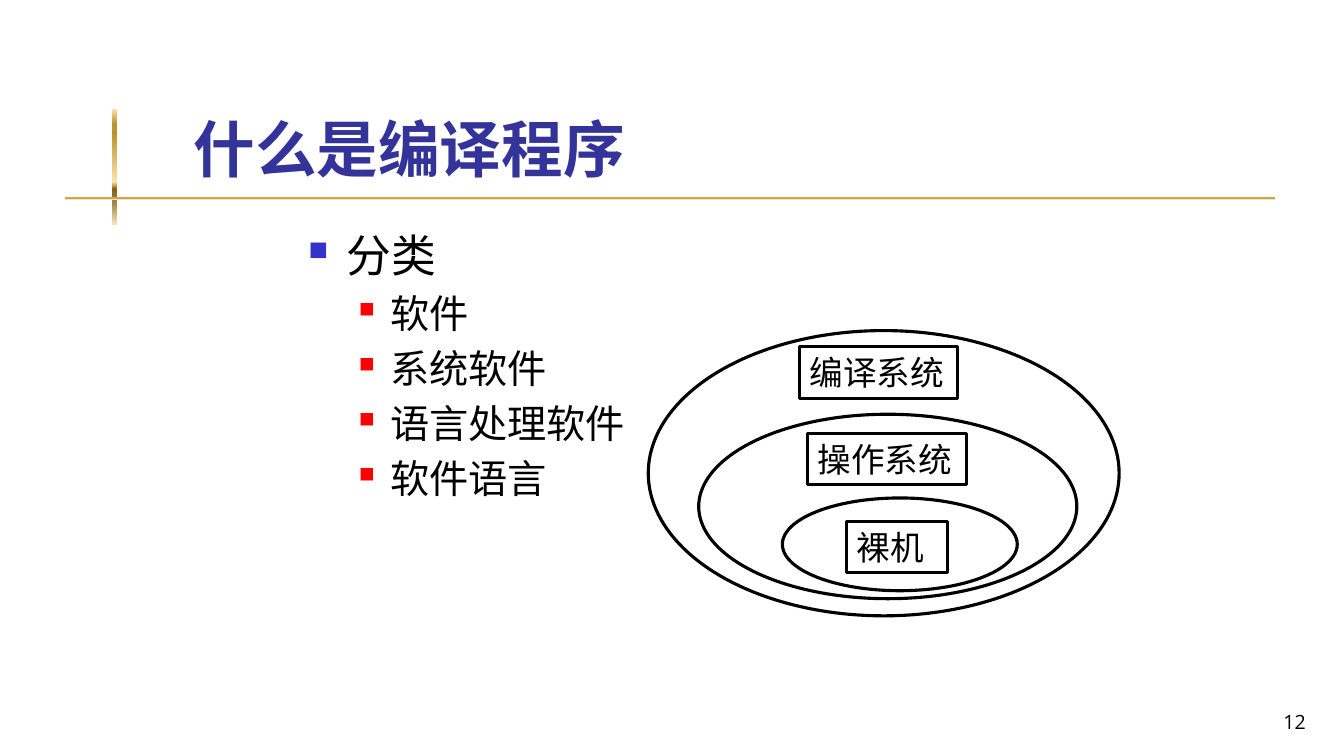
from dataclasses import dataclass

from lxml import etree
from pptx import Presentation
from pptx.dml.color import RGBColor
from pptx.enum.shapes import MSO_SHAPE
from pptx.enum.text import MSO_ANCHOR, MSO_AUTO_SIZE, PP_ALIGN
from pptx.oxml.ns import qn
from pptx.util import Inches, Pt

OVAL, RECTANGLE = MSO_SHAPE.OVAL, MSO_SHAPE.RECTANGLE
TOP, MIDDLE, BOTTOM = MSO_ANCHOR.TOP, MSO_ANCHOR.MIDDLE, MSO_ANCHOR.BOTTOM
LEFT, RIGHT = PP_ALIGN.LEFT, PP_ALIGN.RIGHT
NO_AUTOFIT = MSO_AUTO_SIZE.NONE
TITLE_ONLY = 5


@dataclass(frozen=True)
class Theme:
    cjk_font: str = "Noto Sans CJK JP"
    number_font: str = "Open Sans"
    ink: str = "000000"
    paper: str = "FFFFFF"
    title: str = "333399"
    title_size: int = 44
    label_size: int = 24
    number_size: int = 14
    outline: float = 2.25
    line_height: float = 1.2
    space_before: float = 0.2
    # Per level: size, bullet colour, bullet percent, margin, hanging indent
    levels: tuple = ((32, "3333CC", 60, 0.38, 0.38),
                     (28, "FF0000", 55, 0.81, 0.31))
    gold: tuple = ((0, "FBE4AE"), (13, "BD922A"), (21, "BD922A"), (63, "FBE4AE"),
                   (67, "BD922A"), (69, "835E17"), (82, "A28949"), (100, "FAE3B7"))


THEME = Theme()

OUTLINE = ((0, "分类"), (1, "软件"), (1, "系统软件"), (1, "语言处理软件"), (1, "软件语言"))
RINGS = ((6.43, 3.28, 4.67, 2.83), (6.93, 4.11, 3.75, 1.83), (7.76, 4.94, 2.33, 0.92))
LABELS = (("操作系统", 8.01, 4.3, 1.58), ("编译系统", 7.93, 3.44, 1.57), ("裸机", 8.4, 5.17, 1))
LABEL_HEIGHT = 0.51


def color(code):
    return RGBColor.from_string(code)


def add_span(para, text, size, code=THEME.ink, font=THEME.cjk_font, bold=False):
    span = para.add_run()
    span.text = text
    span.font.size = Pt(size)
    span.font.name = font
    span.font.bold = bold
    span.font.color.rgb = color(code)
    east_asian = etree.SubElement(span.font._element, qn("a:ea"))
    east_asian.set("typeface", font)
    para.line_spacing = Pt(size * THEME.line_height)


def prepare_frame(shape, anchor):
    frame = shape.text_frame
    frame.auto_size = NO_AUTOFIT
    frame.word_wrap = True
    frame.vertical_anchor = anchor
    return frame


def add_bullet(para, code, percent, margin, hanging):
    props = para._p.get_or_add_pPr()
    props.set("marL", str(Inches(margin)))
    props.set("indent", str(-Inches(hanging)))
    bullet_color = etree.SubElement(props, qn("a:buClr"))
    etree.SubElement(bullet_color, qn("a:srgbClr")).set("val", code)
    etree.SubElement(props, qn("a:buSzPct")).set("val", str(percent * 1000))
    etree.SubElement(props, qn("a:buChar")).set("char", "■")


def add_gold_bar(page, *place):
    bar = page.shapes.add_shape(RECTANGLE, *map(Inches, place))
    bar.shadow.inherit = False
    bar.line.fill.background()
    bar.fill.gradient()
    bar.fill.gradient_angle = 270  # counter-clockwise: top to bottom
    stops = bar._element.spPr.find(qn("a:gradFill")).find(qn("a:gsLst"))
    for stop in list(stops):
        stops.remove(stop)
    for position, code in THEME.gold:
        stop = etree.SubElement(stops, qn("a:gs"), pos=str(position * 1000))
        etree.SubElement(stop, qn("a:srgbClr"), val=code)


def set_title(page, text):
    title = page.shapes.title
    title.left, title.top, title.width, title.height = map(Inches, (1.68, 0.23, 11.36, 1.6))
    frame = prepare_frame(title, BOTTOM)
    frame.margin_bottom = 0
    para = frame.paragraphs[0]
    para.alignment = LEFT
    add_span(para, text, THEME.title_size, THEME.title, bold=True)


def add_outline(page, items, *place):
    box = page.shapes.add_textbox(*map(Inches, place))
    frame = prepare_frame(box, TOP)
    for index, (level, text) in enumerate(items):
        para = frame.add_paragraph() if index else frame.paragraphs[0]
        size, *bullet = THEME.levels[level]
        para.level = level
        add_span(para, text, size)
        para.space_before = Pt(size * THEME.space_before if index else 0)
        add_bullet(para, *bullet)


def add_outlined(group, kind, *place):
    shape = group.shapes.add_shape(kind, *map(Inches, place))
    shape.shadow.inherit = False
    shape.fill.solid()
    shape.fill.fore_color.rgb = color(THEME.paper)
    shape.line.color.rgb = color(THEME.ink)
    shape.line.width = Pt(THEME.outline)
    return shape


def add_label(group, text, left, top, width):
    box = add_outlined(group, RECTANGLE, left, top, width, LABEL_HEIGHT)
    para = prepare_frame(box, MIDDLE).paragraphs[0]
    para.alignment = LEFT
    add_span(para, text, THEME.label_size)


def add_page_number(page, text, *place):
    box = page.shapes.add_textbox(*map(Inches, place))
    para = prepare_frame(box, BOTTOM).paragraphs[0]
    para.alignment = RIGHT
    add_span(para, text, THEME.number_size, font=THEME.number_font)


def main():
    deck = Presentation()
    deck.slide_width, deck.slide_height = Inches(13.33), Inches(7.5)
    page = deck.slides.add_slide(deck.slide_layouts[TITLE_ONLY])

    # Gold cross and title
    add_gold_bar(page, 1.11, 1.08, 0.05, 1.15)
    add_gold_bar(page, 0.65, 1.95, 12, 0.03)
    set_title(page, " 什么是编译程序")

    # Bulleted classification
    add_outline(page, OUTLINE, 2.96, 2.21, 3.42, 3.2)

    # Nested system layers
    layers = page.shapes.add_group_shape()
    for ring in RINGS:
        add_outlined(layers, OVAL, *ring)
    for label in LABELS:
        add_label(layers, *label)

    # Footer
    add_page_number(page, "12", 10.27, 6.83, 2.78, 0.5)

    deck.save("out.pptx")


if __name__ == "__main__":
    main()
